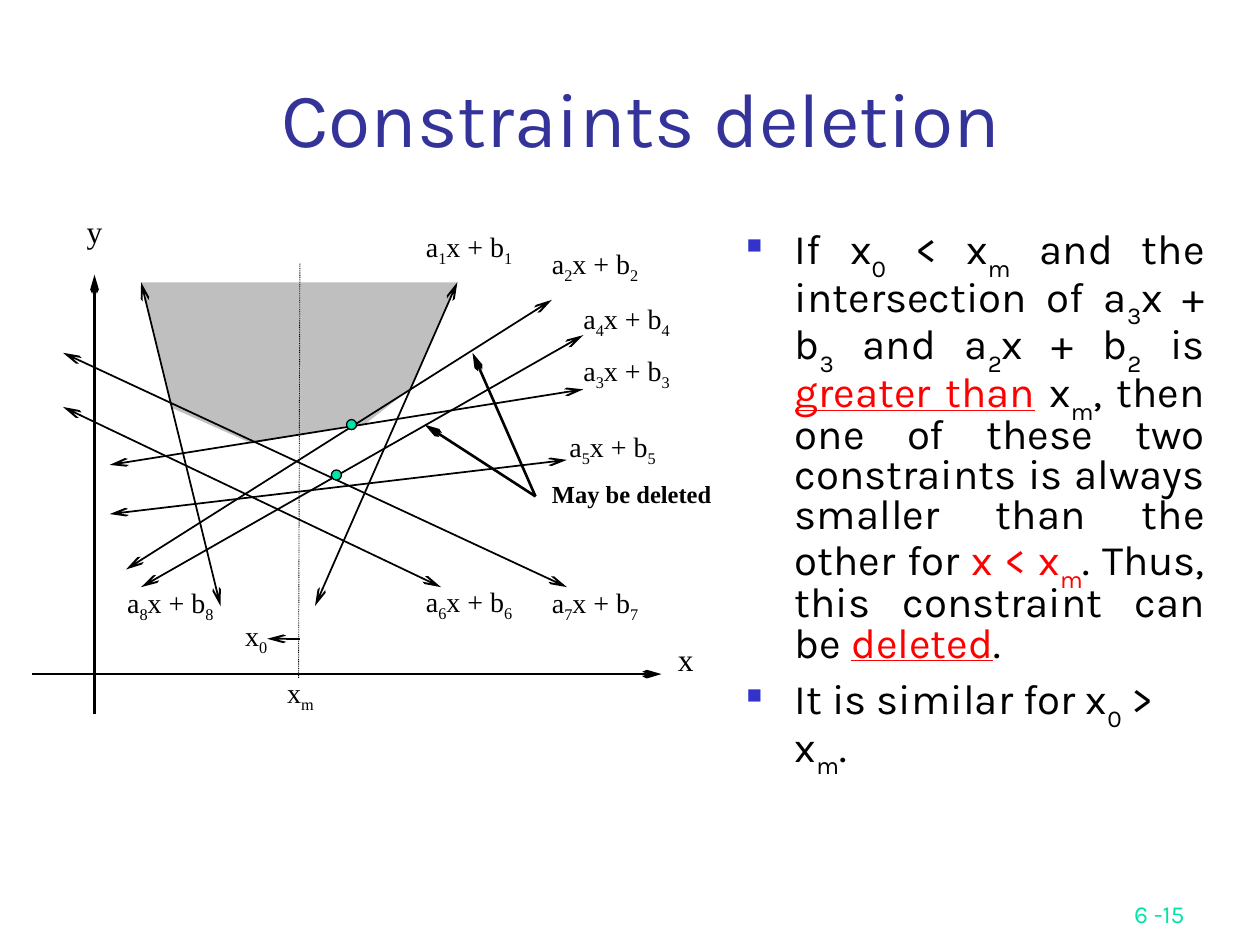
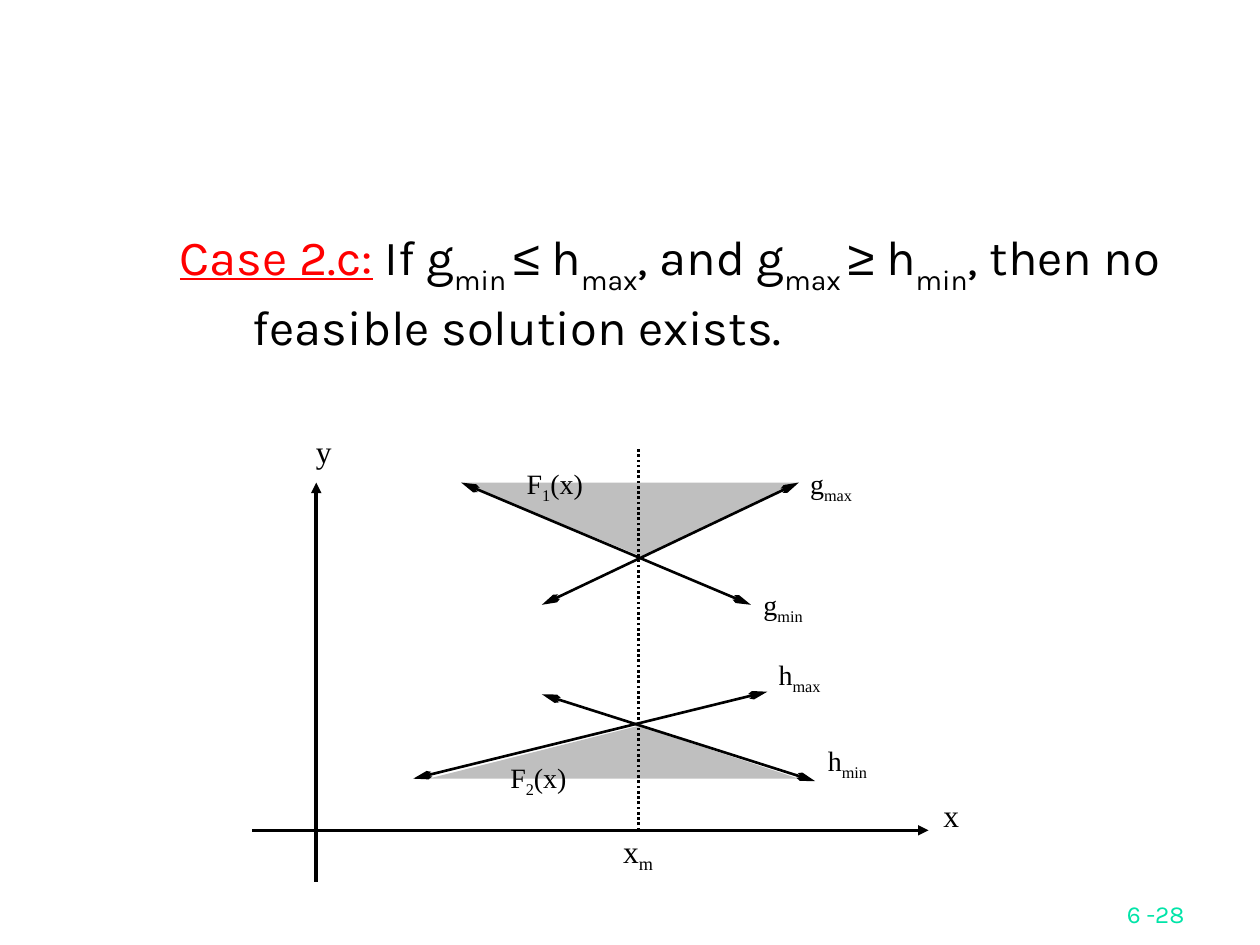
import pptx
import pptx.util
import pptx.dml.color
import pptx.enum.dml
import pptx.enum.shapes
import pptx.enum.text
import pptx.oxml
import pptx.oxml.ns
from pptx.util import Inches

INK = {"black": "000000", "title": "333399", "bullet": "3333CC",
       "red": "FF0000", "mint": "00E4A8", "gray": "BFBFBF"}
SANS, SERIF = "Karla", "Times New Roman"
ALIGN = {"l": pptx.enum.text.PP_ALIGN.LEFT, "c": pptx.enum.text.PP_ALIGN.CENTER,
         "r": pptx.enum.text.PP_ALIGN.RIGHT, "j": pptx.enum.text.PP_ALIGN.JUSTIFY}
HEADS = {"arrow": ("sm", "lg"), "triangle": ("med", "med")}
RED = {"ink": "red", "under": True}


def color(name):
    return pptx.dml.color.RGBColor.from_string(INK[name])


def child(parent, tag, **attrs):
    node = pptx.oxml.parse_xml(f"<a:{tag} {pptx.oxml.ns.nsdecls('a')}/>")
    for key, value in attrs.items():
        node.set(key, str(value))
    parent.append(node)
    return node


def write(para, text, size=16, font=SERIF, ink="black", bold=False, under=False, drop=25):
    """Add text to a paragraph; parts between tildes are subscripts."""
    for i, part in enumerate(text.split("~")):
        if not part:
            continue
        run = para.add_run()
        run.text = part
        face = run.font
        face.size, face.name = pptx.util.Pt(size), font
        face.bold, face.underline = bold, under
        face.color.rgb = color(ink)
        if i % 2:
            run._r.get_or_add_rPr().set("baseline", str(-drop * 1000))


class Deck:
    def __init__(self):
        self.prs = pptx.Presentation()
        self.prs.slide_width, self.prs.slide_height = Inches(10), Inches(7.5)
        self.slide = None

    def page(self, number, title=None):
        self.slide = self.prs.slides.add_slide(self.prs.slide_layouts[5 if title else 6])
        if title:
            head = self.slide.shapes.title
            head.left, head.top = Inches(0.83), Inches(0.5)
            head.width, head.height = Inches(8.52), Inches(0.84)
            frame = head.text_frame
            frame.auto_size = pptx.enum.text.MSO_AUTO_SIZE.NONE
            frame.vertical_anchor = pptx.enum.text.MSO_ANCHOR.BOTTOM
            frame.paragraphs[0].alignment = ALIGN["c"]
            write(frame.paragraphs[0], title, size=44, font=SANS, ink="title")
        foot = self.frame(7.42, 6.92, 2.08, 0.5)
        foot.vertical_anchor = pptx.enum.text.MSO_ANCHOR.BOTTOM
        foot.paragraphs[0].alignment = ALIGN["r"]
        write(foot.paragraphs[0], number, size=14, font=SANS, ink="mint")

    def frame(self, x, y, w, h, inset=None):
        box = self.slide.shapes.add_textbox(Inches(x), Inches(y), Inches(w), Inches(h))
        frame = box.text_frame
        frame.word_wrap = True
        if inset is not None:
            frame.margin_left = frame.margin_right = Inches(inset)
            frame.margin_top = frame.margin_bottom = Inches(inset)
        return frame

    def label(self, text, x, y, w=0.75, h=0.43, align="l", **style):
        para = self.frame(x, y, w, h, 0.01).paragraphs[0]
        para.alignment = ALIGN[align]
        write(para, text, **style)

    def body(self, x, y, w, h, paras, size, left, hang, bullet=False, lines=1, gap=6):
        """Fill a box from (align, spans) pairs with a hanging indent."""
        frame = self.frame(x, y, w, h)
        for i, (align, spans) in enumerate(paras):
            para = frame.add_paragraph() if i else frame.paragraphs[0]
            props = para._p.get_or_add_pPr()
            props.set("marL", str(Inches(left)))
            props.set("indent", str(-Inches(hang)))
            if bullet:
                child(child(props, "buClr"), "srgbClr", val=INK["bullet"])
                child(props, "buSzPct", val=60000)
                child(props, "buFont", typeface="Arial")
                child(props, "buChar", char="■")
            para.alignment, para.line_spacing = ALIGN[align], lines
            if i:
                para.space_before = pptx.util.Pt(gap)
            for text, style in spans:
                write(para, text, **{"size": size, "font": SANS, "drop": 30, **style})

    def line(self, x1, y1, x2, y2, width=1, head=None, tail=None, dots=False):
        link = self.slide.shapes.add_connector(
            pptx.enum.shapes.MSO_CONNECTOR.STRAIGHT,
            Inches(x1), Inches(y1), Inches(x2), Inches(y2))
        link.line.color.rgb = color("black")
        link.line.width = pptx.util.Pt(width)
        if dots:
            link.line.dash_style = pptx.enum.dml.MSO_LINE.ROUND_DOT
        stroke = link.line._get_or_add_ln()
        for tag, kind in (("headEnd", head), ("tailEnd", tail)):
            if kind:
                wide, long = HEADS[kind]
                child(stroke, tag, type=kind, w=wide, len=long)
        child(link._element.spPr, "effectLst")

    def region(self, *points):
        spots = [(Inches(x), Inches(y)) for x, y in points]
        path = self.slide.shapes.build_freeform(*spots[0], scale=1.0)
        path.add_line_segments(spots[1:], close=True)
        shape = path.convert_to_shape()
        shape.shadow.inherit = False
        shape.fill.solid()
        shape.fill.fore_color.rgb = color("gray")
        shape.line.fill.background()

    def dot(self, x, y, size=0.08):
        shape = self.slide.shapes.add_shape(
            pptx.enum.shapes.MSO_SHAPE.OVAL, Inches(x), Inches(y), Inches(size), Inches(size))
        shape.shadow.inherit = False
        shape.fill.solid()
        shape.fill.fore_color.rgb = color("mint")
        shape.line.color.rgb = color("black")
        shape.line.width = pptx.util.Pt(0.75)


def deletion(deck):
    deck.page("6 -15", "Constraints deletion")
    deck.body(5.83, 1.75, 3.83, 4.5, [
        ("j", [("If x~0~ < x~m~ and the intersection of a~3~x + b~3~ and a~2~x + b~2~ is ", {}),
               ("greater than", RED),
               (" x~m~, then one of these two constraints is always smaller than "
                "the other for ", {}),
               ("x < x~m~", {"ink": "red"}),
               (". Thus, this constraint can be ", {}),
               ("deleted", RED), (".", {})]),
        ("l", [("It is similar for x~0~ > x~m~.", {})]),
    ], size=24, left=0.38, hang=0.38, bullet=True, lines=0.8)

    deck.region((1.12, 2.24), (3.63, 2.24), (3.25, 3.09), (2.88, 3.38),
                (2.81, 3.37), (2, 3.52), (1.37, 3.24))
    deck.line(0.75, 2.18, 0.75, 5.67, 1.5, head="arrow")
    deck.line(0.25, 5.35, 5.25, 5.35, 1.5, tail="arrow")
    deck.label("x", 5.37, 5.07, 0.38, size=18)
    deck.label("y", 0.5, 1.67, 0.5, align="c", size=18)

    # index: line ends, then label corner
    rules = {
        1: ((3.63, 2.24, 2.5, 4.81), (3.37, 1.81)),
        2: ((1, 4.52, 4.38, 2.38), (4.37, 1.95)),
        3: ((0.87, 3.69, 4.63, 3.09), (4.62, 2.8)),
        4: ((1.12, 4.66, 4.63, 2.66), (4.62, 2.38)),
        5: ((0.87, 4.08, 4.5, 3.65), (4.51, 3.4)),
        6: ((0.5, 3.23, 3.5, 4.66), (3.37, 4.63)),
        7: ((0.5, 2.8, 4.5, 4.66), (4.37, 4.64)),
        8: ((1.12, 2.24, 1.75, 4.81), (1, 4.64)),
    }
    for i, (ends, spot) in rules.items():
        deck.line(*ends, head="arrow", tail="arrow")
        deck.label(f"a~{i}~x + b~{i}~", *spot)

    deck.line(2.37, 5.38, 2.38, 2.09, 0.5, dots=True)
    deck.line(2.38, 5.07, 2.12, 5.07, tail="arrow")
    deck.label("x~0~", 1.75, 4.9, 0.38, 0.31, "r")
    deck.label("x~m~", 2.12, 5.35, 0.38, 0.32, "r")
    for tip in ((3.75, 2.8), (3.37, 3.37)):
        deck.line(4.25, 3.94, *tip, 1.5, tail="arrow")
    deck.label("May be deleted", 4.37, 3.79, 1.38, size=14, bold=True)
    deck.dot(2.75, 3.33)
    deck.dot(2.63, 3.73)


def case(deck):
    deck.page("6 -28")
    sign = {"font": "Arial"}
    deck.body(0.83, 1.75, 8.5, 4.5, [
        ("l", [("Case 2.c:", RED), (" If g~min ~", {}), ("≤", sign),
               (" h~max~, and g~max ~", {}), ("≥", sign),
               (" h~min~, then no feasible solution exists.", {})]),
    ], size=28, left=1.08, hang=0.58)

    deck.region((3.28, 6.18), (6.34, 6.18), (5.07, 5.76), (3.4, 6.18))
    deck.region((3.66, 3.83), (6.34, 3.83), (5.19, 4.38), (5.13, 4.42), (5.1, 4.42))
    deck.line(2.51, 3.83, 2.51, 7, 2, head="triangle")
    deck.line(7.37, 6.59, 2, 6.59, 2, head="triangle")
    for ends in ((3.66, 3.83, 5.96, 4.8), (4.3, 4.8, 6.34, 3.83),
                 (3.28, 6.18, 6.09, 5.49), (6.47, 6.2, 4.3, 5.51)):
        deck.line(*ends, 1.5, head="arrow", tail="arrow")
    deck.line(5.07, 6.59, 5.07, 3.56, 1.5, dots=True)

    for text, x, y, w in (("y", 2.38, 3.42, 0.38), ("x", 7.36, 6.31, 0.38),
                          ("x~m~", 4.81, 6.59, 0.51)):
        deck.label(text, x, y, w, 0.41, "c", size=18)
    for text, x, y, align in (
            ("F~1~(x)", 4.17, 3.69, "l"), ("F~2~(x)", 4.04, 6.03, "l"),
            ("g~max~", 6.34, 3.69, "c"), ("g~min~", 5.96, 4.65, "c"),
            ("h~max~", 6.09, 5.21, "c"), ("h~min~", 6.47, 5.89, "c")):
        deck.label(text, x, y, 0.51, 0.41, align)


def main():
    deck = Deck()
    deletion(deck)
    case(deck)
    deck.prs.save("out.pptx")


if __name__ == "__main__":
    main()
